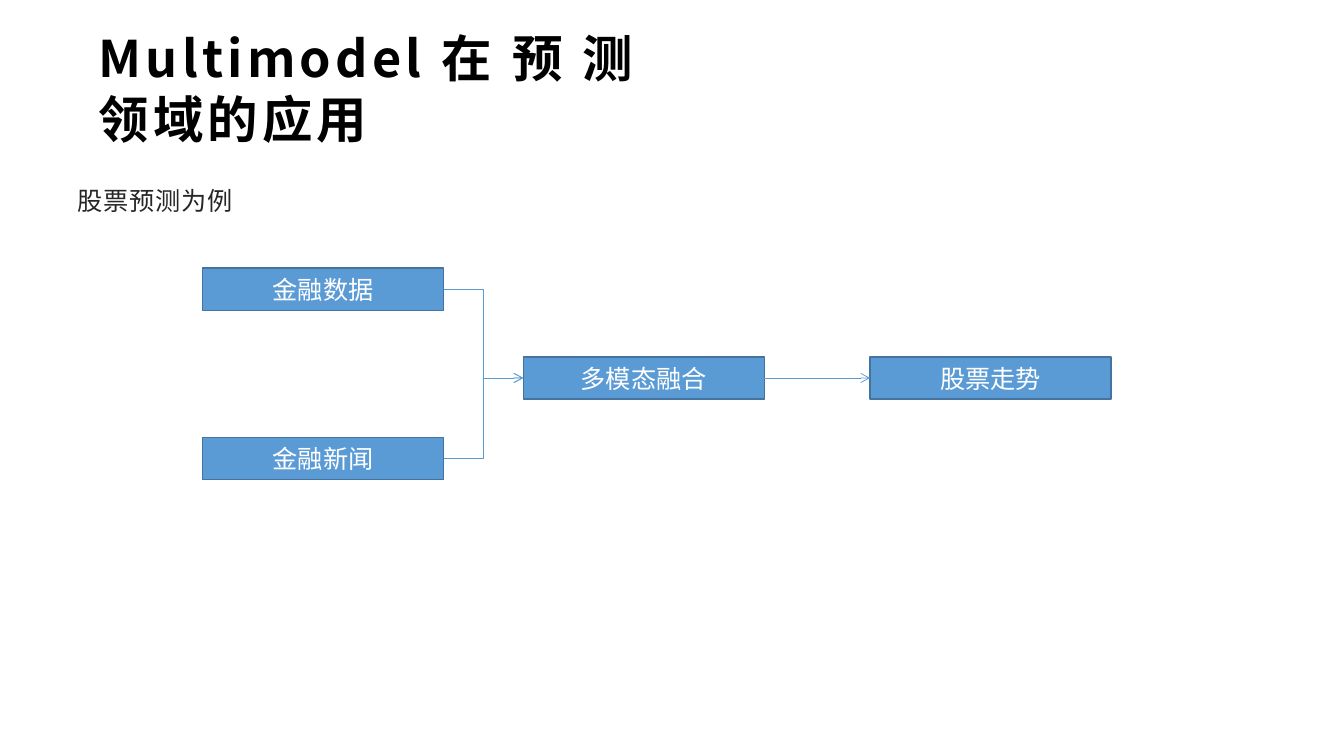
from dataclasses import dataclass

from lxml.etree import SubElement
from pptx import Presentation
from pptx.dml.color import RGBColor
from pptx.enum.shapes import MSO_CONNECTOR as Connector, MSO_SHAPE as Shape
from pptx.enum.text import MSO_ANCHOR as Anchor, PP_ALIGN as Align
from pptx.oxml.ns import qn
from pptx.shapes.autoshape import Shape as Box
from pptx.slide import Slide
from pptx.util import Inches, Pt


@dataclass(frozen=True)
class Theme:
    heading_font: str = "Noto Sans CJK SC"
    box_font: str = "Calibri"
    title_size: float = 36
    text_size: float = 18
    title_color: str = "000000"
    body_color: str = "262626"
    box_text: str = "FFFFFF"
    fill: str = "5B9BD5"
    outline: str = "43739E"


@dataclass(frozen=True)
class Step:
    text: str
    left: float
    top: float


@dataclass(frozen=True)
class Heading:
    text: str
    area: tuple[float, float, float, float]
    size: float
    color: str
    bold: bool
    tracking: int  # hundredths of a point
    line_spacing: float


THEME = Theme()
BOX_WIDTH, BOX_HEIGHT = 2.39, 0.42
RIGHT_SIDE, LEFT_SIDE = 3, 1

TITLE = Heading("Multimodel在预测领域的应用", (0.9, 0.23, 5.5, 1.29),
                THEME.title_size, THEME.title_color, True, 300, 1.0)
BODY = Heading("股票预测为例", (0.69, 1.71, 11.66, 4.68),
               THEME.text_size, THEME.body_color, False, 50, 1.3)
STEPS = {
    "data": Step("金融数据", 2.01, 2.66),
    "news": Step("金融新闻", 2.01, 4.34),
    "fusion": Step("多模态融合", 5.19, 3.54),
    "trend": Step("股票走势", 8.63, 3.54),
}
LINKS = [
    ("data", "fusion", Connector.ELBOW),
    ("news", "fusion", Connector.ELBOW),
    ("fusion", "trend", Connector.STRAIGHT),
]


def fill_heading(holder: Box, heading: Heading) -> None:
    """Move a placeholder and replace its inherited text format."""
    holder.left, holder.top, holder.width, holder.height = map(Inches, heading.area)
    frame = holder.text_frame
    frame.word_wrap = True
    frame.vertical_anchor = Anchor.TOP
    frame.margin_left = frame.margin_right = Inches(0.08)
    frame.margin_top = frame.margin_bottom = Inches(0.04)
    para = frame.paragraphs[0]
    span = para.add_run()
    span.text = heading.text
    para.alignment = Align.JUSTIFY
    para.line_spacing = heading.line_spacing
    para.space_before, para.space_after = Pt(0), Pt(8)
    properties = para._p.get_or_add_pPr()
    properties.set("marL", "0")
    properties.set("indent", "0")
    SubElement(properties, qn("a:buNone"))
    font = span.font
    font.name = THEME.heading_font
    font.size = Pt(heading.size)
    font.bold = heading.bold
    font.color.rgb = RGBColor.from_string(heading.color)
    run_properties = span._r.get_or_add_rPr()
    run_properties.set("spc", str(heading.tracking))
    SubElement(run_properties, qn("a:ea"), typeface=THEME.heading_font)


def add_step(page: Slide, step: Step) -> Box:
    box = page.shapes.add_shape(Shape.RECTANGLE, Inches(step.left), Inches(step.top),
                                Inches(BOX_WIDTH), Inches(BOX_HEIGHT))
    box.shadow.inherit = False
    box.fill.solid()
    box.fill.fore_color.rgb = RGBColor.from_string(THEME.fill)
    box.line.color.rgb = RGBColor.from_string(THEME.outline)
    box.line.width = Pt(1)
    box.text_frame.vertical_anchor = Anchor.MIDDLE
    para = box.text_frame.paragraphs[0]
    para.text = step.text
    para.alignment = Align.CENTER
    para.font.name = THEME.box_font
    para.font.size = Pt(THEME.text_size)
    para.font.color.rgb = RGBColor.from_string(THEME.box_text)
    return box


def add_arrow(page: Slide, source: Box, target: Box, kind: Connector) -> None:
    arrow = page.shapes.add_connector(kind, 0, 0, 0, 0)
    arrow.begin_connect(source, RIGHT_SIDE)
    arrow.end_connect(target, LEFT_SIDE)
    arrow.line.color.rgb = RGBColor.from_string(THEME.fill)
    arrow.line.width = Pt(0.5)
    SubElement(arrow.line._get_or_add_ln(), qn("a:tailEnd"), type="arrow")
    SubElement(arrow._element.spPr, qn("a:effectLst"))


def main() -> None:
    deck = Presentation()
    deck.slide_width, deck.slide_height = Inches(13.33), Inches(7.5)
    page = deck.slides.add_slide(deck.slide_layouts[1])
    fill_heading(page.shapes.title, TITLE)
    fill_heading(page.placeholders[1], BODY)
    boxes = {name: add_step(page, step) for name, step in STEPS.items()}
    for source, target, kind in LINKS:
        add_arrow(page, boxes[source], boxes[target], kind)
    deck.save("out.pptx")


if __name__ == "__main__":
    main()
